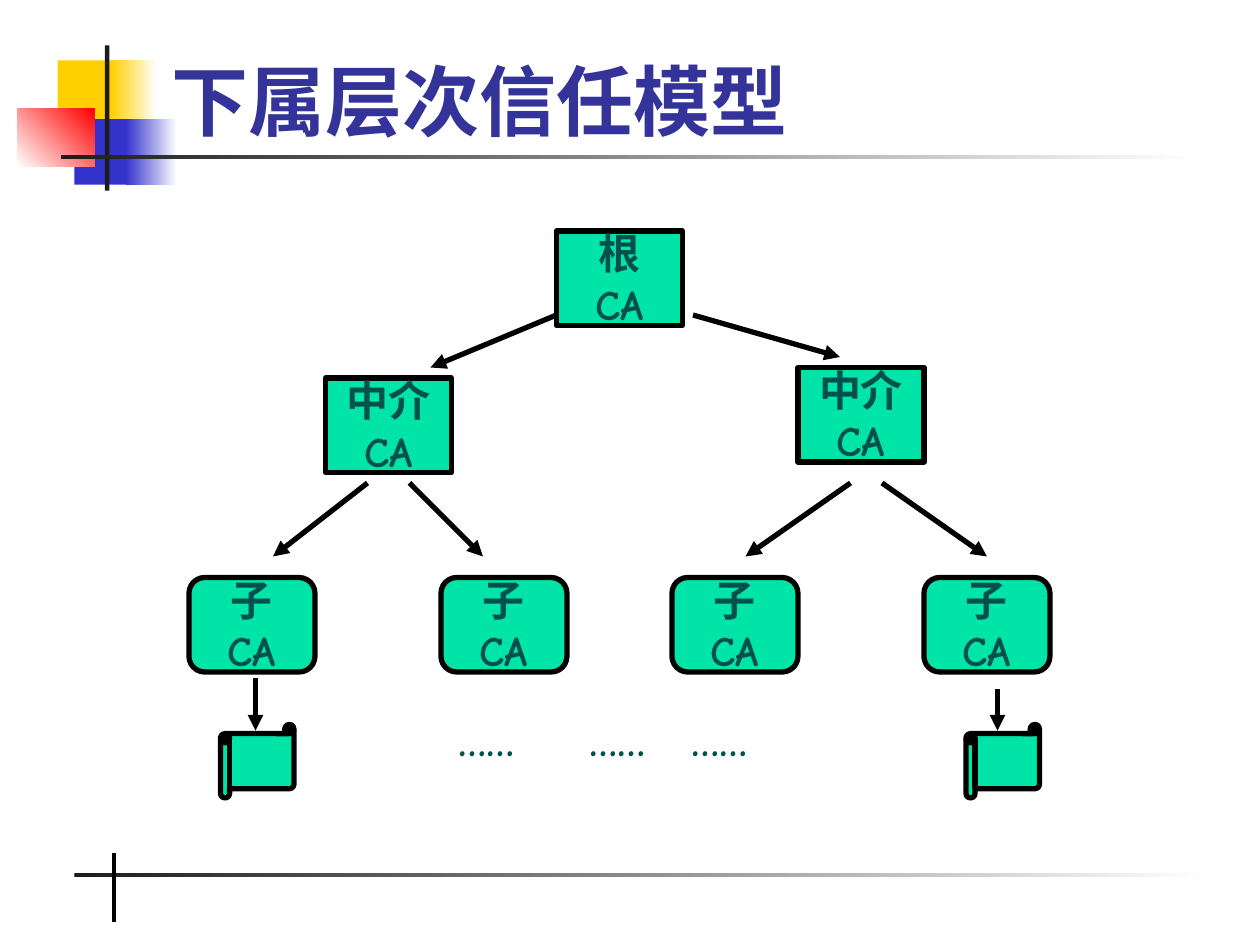
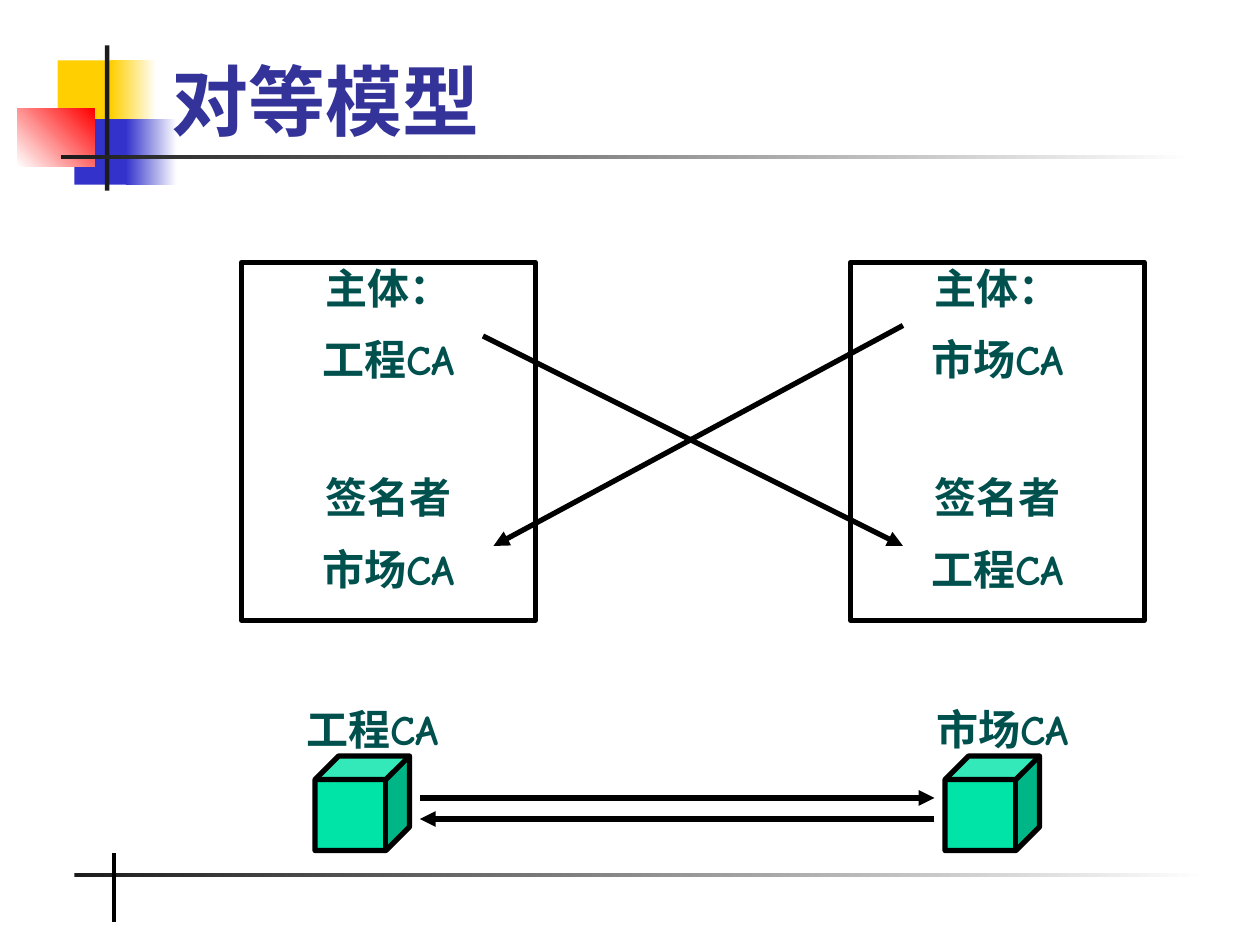
from lxml import etree
from pptx import Presentation
from pptx.dml.color import RGBColor
from pptx.enum import shapes, text
from pptx.oxml.ns import qn
from pptx.util import Pt

BLACK = RGBColor(0x00, 0x00, 0x00)
WHITE = RGBColor(0xFF, 0xFF, 0xFF)
CHARCOAL = RGBColor(0x1C, 0x1C, 0x1C)
YELLOW = RGBColor(0xFF, 0xCF, 0x01)
BLUE = RGBColor(0x33, 0x33, 0xCC)
RED = RGBColor(0xFF, 0x00, 0x00)
TITLE_BLUE = RGBColor(0x33, 0x33, 0x99)
MINT = RGBColor(0x00, 0xE4, 0xA8)
TEAL = RGBColor(0x00, 0x50, 0x4E)

TITLE_FONT = "Times New Roman"
BODY_FONT = "Comic Neue"
SHAPE = shapes.MSO_SHAPE
OUTLINE = 3
NODE_WIDTH, NODE_HEIGHT = 72, 54
SCROLL_SIZE = 42
CUBE_SIZE = 54
SECTION_GAP = 50


def format_runs(paragraph, font_name, size, color):
    for run in paragraph.runs:
        run.font.name = font_name
        run.font.size = Pt(size)
        run.font.bold = True
        run.font.color.rgb = color


def add_band(slide, left, top, width, height, color, end_color=None, angle=0):
    """Add a borderless rectangle, fading to end_color when one is given."""
    band = slide.shapes.add_shape(
        SHAPE.RECTANGLE, Pt(left), Pt(top), Pt(width), Pt(height))
    band.shadow.inherit = False
    band.line.fill.background()
    if end_color is None:
        band.fill.solid()
        band.fill.fore_color.rgb = color
    else:
        band.fill.gradient()
        band.fill.gradient_angle = angle
        for stop, stop_color in zip(band.fill.gradient_stops, (color, end_color)):
            stop.color.rgb = stop_color
    return band


def add_line(slide, start, end, width=OUTLINE, arrow=True):
    connector = slide.shapes.add_connector(
        shapes.MSO_CONNECTOR.STRAIGHT, *(Pt(value) for value in (*start, *end)))
    connector.line.color.rgb = BLACK
    connector.line.width = Pt(width)
    properties = connector.element.spPr
    if arrow:
        etree.SubElement(properties.find(qn("a:ln")), qn("a:tailEnd"), type="triangle")
    etree.SubElement(properties, qn("a:effectLst"))
    return connector


def add_outlined_shape(slide, kind, left, top, width, height, color=MINT):
    shape = slide.shapes.add_shape(kind, Pt(left), Pt(top), Pt(width), Pt(height))
    shape.shadow.inherit = False
    shape.line.color.rgb = BLACK
    shape.line.width = Pt(OUTLINE)
    if color is None:
        shape.fill.background()
    else:
        shape.fill.solid()
        shape.fill.fore_color.rgb = color
    return shape


def write_centred(shape, content, anchor=text.MSO_ANCHOR.TOP, wrap=True):
    frame = shape.text_frame
    frame.margin_left = frame.margin_right = 0
    frame.margin_top = frame.margin_bottom = 0
    frame.word_wrap = wrap
    frame.vertical_anchor = anchor
    frame.text = content
    for paragraph in frame.paragraphs:
        paragraph.alignment = text.PP_ALIGN.CENTER
        format_runs(paragraph, BODY_FONT, 24, TEAL)


def add_node(slide, kind, left, top, name):
    """Add a certificate authority box with its role above the letters CA."""
    node = add_outlined_shape(slide, kind, left, top, NODE_WIDTH, NODE_HEIGHT)
    write_centred(node, f"{name}\vCA", text.MSO_ANCHOR.MIDDLE, wrap=False)


def add_label(slide, left, top, width, content):
    label = slide.shapes.add_textbox(Pt(left), Pt(top), Pt(width), Pt(29))
    write_centred(label, content)


def add_certificate(slide, left, subject, signer):
    certificate = add_outlined_shape(
        slide, SHAPE.RECTANGLE, left, 150, 168, 204.5, color=None)
    write_centred(certificate, f"主体：\n{subject}\n签名者\n{signer}")
    paragraphs = certificate.text_frame.paragraphs
    for paragraph in paragraphs:
        spacing = etree.SubElement(paragraph._p.get_or_add_pPr(), qn("a:spcBef"))
        etree.SubElement(spacing, qn("a:spcPct"), val="50000")
    paragraphs[2].space_before = Pt(SECTION_GAP)


def move_to_layout(slide, decorations):
    """Put the decorations behind the placeholders of the slide's layout."""
    tree = slide.slide_layout.shapes.element
    for index, shape in enumerate(decorations):
        shape.element.xpath(".//p:cNvPr")[0].set("id", str(100 + index))
        tree.insert(2 + index, shape.element)


def decorate_layout(slide):
    move_to_layout(slide, [
        add_band(slide, 33, 34.5, 34.5, 37.5, YELLOW),
        add_band(slide, 63.5, 34.5, 26, 37.5, YELLOW, WHITE),
        add_band(slide, 42.5, 68, 33, 37.5, BLUE),
        add_band(slide, 72, 68, 29, 37.5, BLUE, WHITE),
        add_band(slide, 10, 62, 44, 33, WHITE, RED, angle=45),
        add_band(slide, 60, 26, 2.5, 83, CHARCOAL),
        add_band(slide, 35, 88.5, 648, 2.25, CHARCOAL, WHITE),
        add_band(slide, 42.5, 499, 648, 2.25, CHARCOAL, WHITE),
        add_line(slide, (65, 487.5), (65, 527), width=2.25, arrow=False),
    ])


def add_titled_slide(presentation, heading):
    slide = presentation.slides.add_slide(presentation.slide_layouts[5])
    title = slide.shapes.title
    title.left, title.top = Pt(91), Pt(11.5)
    title.width, title.height = Pt(613.5), Pt(75.5)
    frame = title.text_frame
    frame.text = heading
    frame.vertical_anchor = text.MSO_ANCHOR.BOTTOM
    paragraph = frame.paragraphs[0]
    paragraph.alignment = text.PP_ALIGN.LEFT
    format_runs(paragraph, TITLE_FONT, 44, TITLE_BLUE)
    return slide


def draw_hierarchy(slide):
    add_node(slide, SHAPE.RECTANGLE, 318, 132, "根")
    for left, top in ((186, 216), (456, 210)):
        add_node(slide, SHAPE.RECTANGLE, left, top, "中介")
    for left in (108, 252, 384, 528):
        add_node(slide, SHAPE.ROUNDED_RECTANGLE, left, 330, "子")
    for left in (126, 552):
        add_outlined_shape(
            slide, SHAPE.HORIZONTAL_SCROLL, left, 414, SCROLL_SIZE, SCROLL_SIZE)
    for centre in (278, 353, 411):
        add_label(slide, centre - 25, 408, 50, "……")

    add_line(slide, (318, 180), (246, 210))
    add_line(slide, (396, 180), (480, 204))
    for start, end in ((210, 156), (234, 276), (486, 426), (504, 564)):
        add_line(slide, (start, 276), (end, 318))
    for x, top in ((146, 387.5), (570, 394)):
        add_line(slide, (x, top), (x, 417.5))


def draw_peers(slide):
    engineering, market = "工程CA", "市场CA"
    add_certificate(slide, 138, engineering, market)
    add_certificate(slide, 486, market, engineering)
    add_line(slide, (276, 192), (516, 312))
    add_line(slide, (516, 186), (282, 312))

    for left, name in ((180, engineering), (540, market)):
        add_outlined_shape(slide, SHAPE.CUBE, left, 432, CUBE_SIZE, CUBE_SIZE)
        add_label(slide, left - 30, 402, 126, name)
    add_line(slide, (240, 456), (534, 456))
    add_line(slide, (534, 468), (240, 468))


def main():
    presentation = Presentation()
    presentation.slide_width, presentation.slide_height = Pt(720), Pt(540)

    hierarchy = add_titled_slide(presentation, "下属层次信任模型")
    decorate_layout(hierarchy)
    draw_hierarchy(hierarchy)
    draw_peers(add_titled_slide(presentation, "对等模型"))

    presentation.save("out.pptx")


if __name__ == "__main__":
    main()
